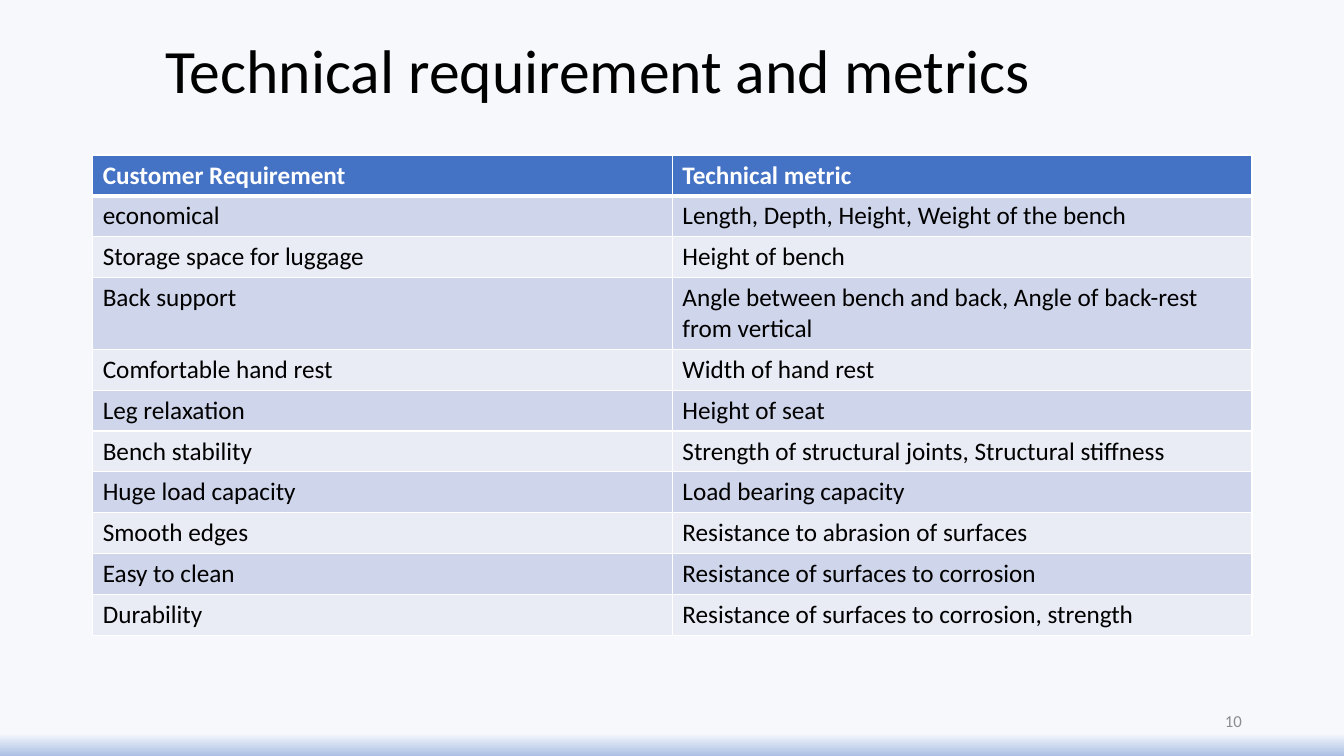
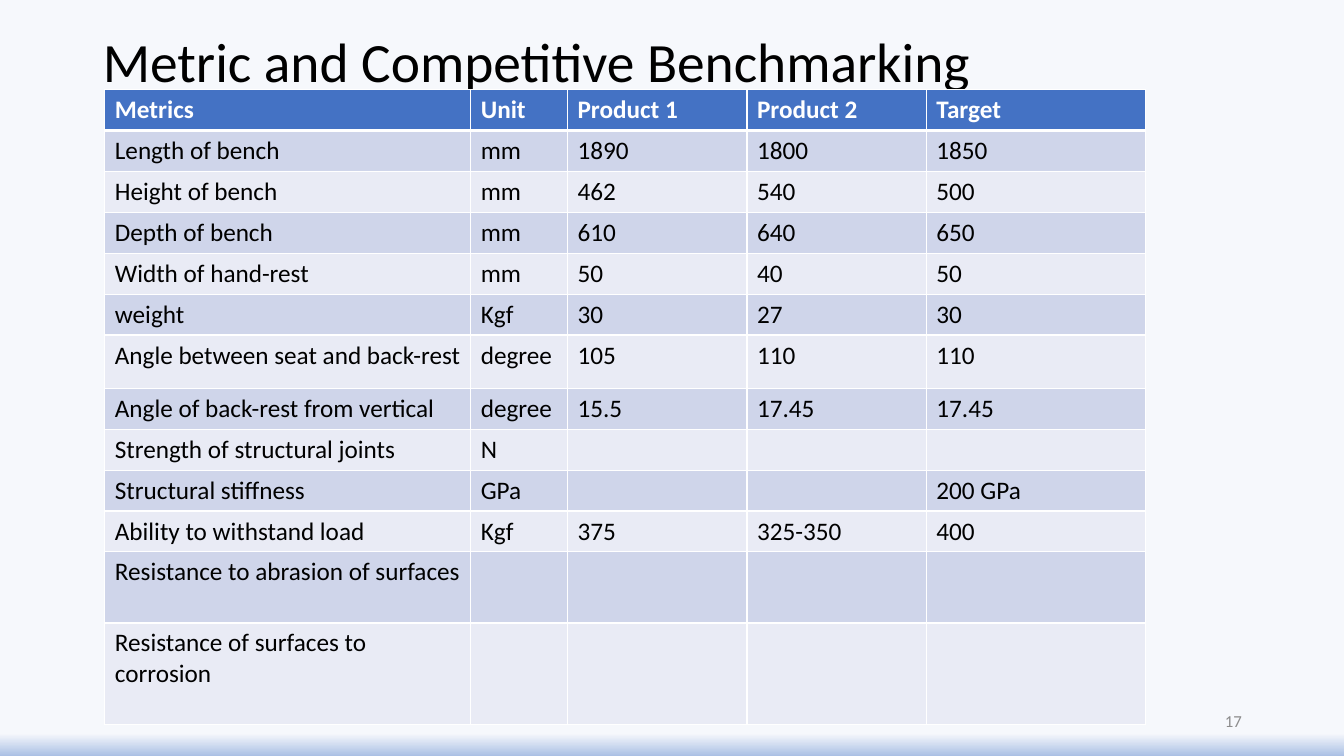
from lxml import etree
from pptx import Presentation
from pptx.dml.color import RGBColor
from pptx.enum.text import MSO_ANCHOR, MSO_AUTO_SIZE, PP_ALIGN
from pptx.oxml.ns import qn
from pptx.util import Inches, Pt

MIDDLE = MSO_ANCHOR.MIDDLE
NO_FIT = MSO_AUTO_SIZE.NONE
LEFT, RIGHT = PP_ALIGN.LEFT, PP_ALIGN.RIGHT

FONT = "Calibri"
BLACK, WHITE, GREY = "000000", "FFFFFF", "8C8C8C"
HEADER, BANDS = "4472C4", ("E9EBF5", "CFD5EA")
PAGE_TOP, PAGE_EDGE = "F6F8FC", "ABC0E4"

prs = Presentation()
prs.slide_width, prs.slide_height = Inches(13.33), Inches(7.5)

# Grid of 100 columns and 100 rows
COL, ROW = prs.slide_width / 100, prs.slide_height / 100
LINE = 5.33  # height of a one-line table row


def rgb(color):
    return RGBColor.from_string(color)


def style(p, size, color, bold=False, align=LEFT):
    p.alignment = align
    p.font.name, p.font.size, p.font.bold = FONT, Pt(size), bold
    p.font.color.rgb = rgb(color)


# Shared background: pale page with a blue glow along the bottom edge
fill = prs.slide_master.background.fill
fill.gradient()
fill.gradient_angle = 270
for stop, position, color in zip(fill.gradient_stops, (0.97, 1), (PAGE_TOP, PAGE_EDGE)):
    stop.position = position
    stop.color.rgb = rgb(color)

# Slide contents; places are left, top, width, height in grid units
slides = [
    {
        "title": "Technical requirement and metrics",
        "title_size": 44,
        "title_at": (11.55, 4.4, 86.25, 10.67),
        "page": "10",
        "table_at": (6.9, 20.5),
        "widths": (43.13, 43.13),
        "tall_rows": {3: 9.47},
        "rows": [
            ("Customer Requirement", "Technical metric"),
            ("economical", "Length, Depth, Height, Weight of the bench"),
            ("Storage space for luggage", "Height of bench"),
            ("Back support", "Angle between bench and back, Angle of back-rest from vertical"),
            ("Comfortable hand rest", "Width of hand rest"),
            ("Leg relaxation", "Height of seat"),
            ("Bench stability", "Strength of structural joints, Structural stiffness"),
            ("Huge load capacity", "Load bearing capacity"),
            ("Smooth edges", "Resistance to abrasion of surfaces"),
            ("Easy to clean", "Resistance of surfaces to corrosion"),
            ("Durability", "Resistance of surfaces to corrosion, strength"),
        ],
    },
    {
        "title": "Metric and Competitive Benchmarking",
        "title_size": 39.6,
        "title_at": (6.9, 5.33, 86.25, 6.53),
        "page": "17",
        "table_at": (7.8, 11.87),
        "widths": (27.23, 7.2, 13.35, 13.35, 16.28),
        "tall_rows": {6: 7.07, 11: 9.4, 12: 13.47},
        "rows": [
            ("Metrics", "Unit", "Product 1", "Product 2", "Target"),
            ("Length of bench", "mm", "1890", "1800", "1850"),
            ("Height of bench", "mm", "462", "540", "500"),
            ("Depth of bench", "mm", "610", "640", "650"),
            ("Width of hand-rest", "mm", "50", "40", "50"),
            ("weight", "Kgf", "30", "27", "30"),
            ("Angle between seat and back-rest", "degree", "105", "110", "110"),
            ("Angle of back-rest from vertical", "degree", "15.5", "17.45", "17.45"),
            ("Strength of structural joints", "N", "", "", ""),
            ("Structural stiffness", "GPa", "", "", "200 GPa"),
            ("Ability to withstand load", "Kgf", "375", "325-350", "400"),
            ("Resistance to abrasion of surfaces", "", "", "", ""),
            ("Resistance of surfaces to corrosion", "", "", "", ""),
        ],
    },
]

for content in slides:
    s = prs.slides.add_slide(prs.slide_layouts[5])

    # Title
    sp = s.shapes.title
    left, top, width, height = content["title_at"]
    sp.left, sp.top = int(left * COL), int(top * ROW)
    sp.width, sp.height = int(width * COL), int(height * ROW)
    tf = sp.text_frame
    tf.text = content["title"]
    tf.word_wrap, tf.auto_size, tf.vertical_anchor = True, NO_FIT, MIDDLE
    p = tf.paragraphs[0]
    p.line_spacing = 0.9
    style(p, content["title_size"], BLACK)

    # Table
    rows, widths = content["rows"], content["widths"]
    heights = [content["tall_rows"].get(i, LINE) for i in range(len(rows))]
    left, top = content["table_at"]
    table = s.shapes.add_table(len(rows), len(widths), int(left * COL), int(top * ROW),
                               int(sum(widths) * COL), int(sum(heights) * ROW)).table
    for column, width in zip(table.columns, widths):
        column.width = int(width * COL)
    for i, texts in enumerate(rows):
        table.rows[i].height = int(heights[i] * ROW)
        is_header = i == 0
        for j, text in enumerate(texts):
            cell = table.cell(i, j)
            cell.text = text
            cell.fill.solid()
            cell.fill.fore_color.rgb = rgb(HEADER if is_header else BANDS[i % 2])
            style(cell.text_frame.paragraphs[0], 18, WHITE if is_header else BLACK, is_header)

            # White borders, thicker below the header; they precede the fill
            borders = {"a:lnL": 1, "a:lnR": 1, "a:lnT": 3 if i == 1 else 1, "a:lnB": 3 if is_header else 1}
            tc_pr = cell._tc.get_or_add_tcPr()
            for k, (tag, points) in enumerate(borders.items()):
                ln = etree.Element(qn(tag), w=str(Pt(points)))
                solid = etree.SubElement(ln, qn("a:solidFill"))
                etree.SubElement(solid, qn("a:srgbClr"), val=WHITE)
                tc_pr.insert(k, ln)

    # Page number
    sp = s.shapes.add_textbox(int(70.65 * COL), int(92.67 * ROW), int(22.5 * COL), int(5.33 * ROW))
    tf = sp.text_frame
    tf.text = content["page"]
    tf.word_wrap, tf.vertical_anchor = True, MIDDLE
    style(tf.paragraphs[0], 12, GREY, align=RIGHT)

prs.save("out.pptx")
